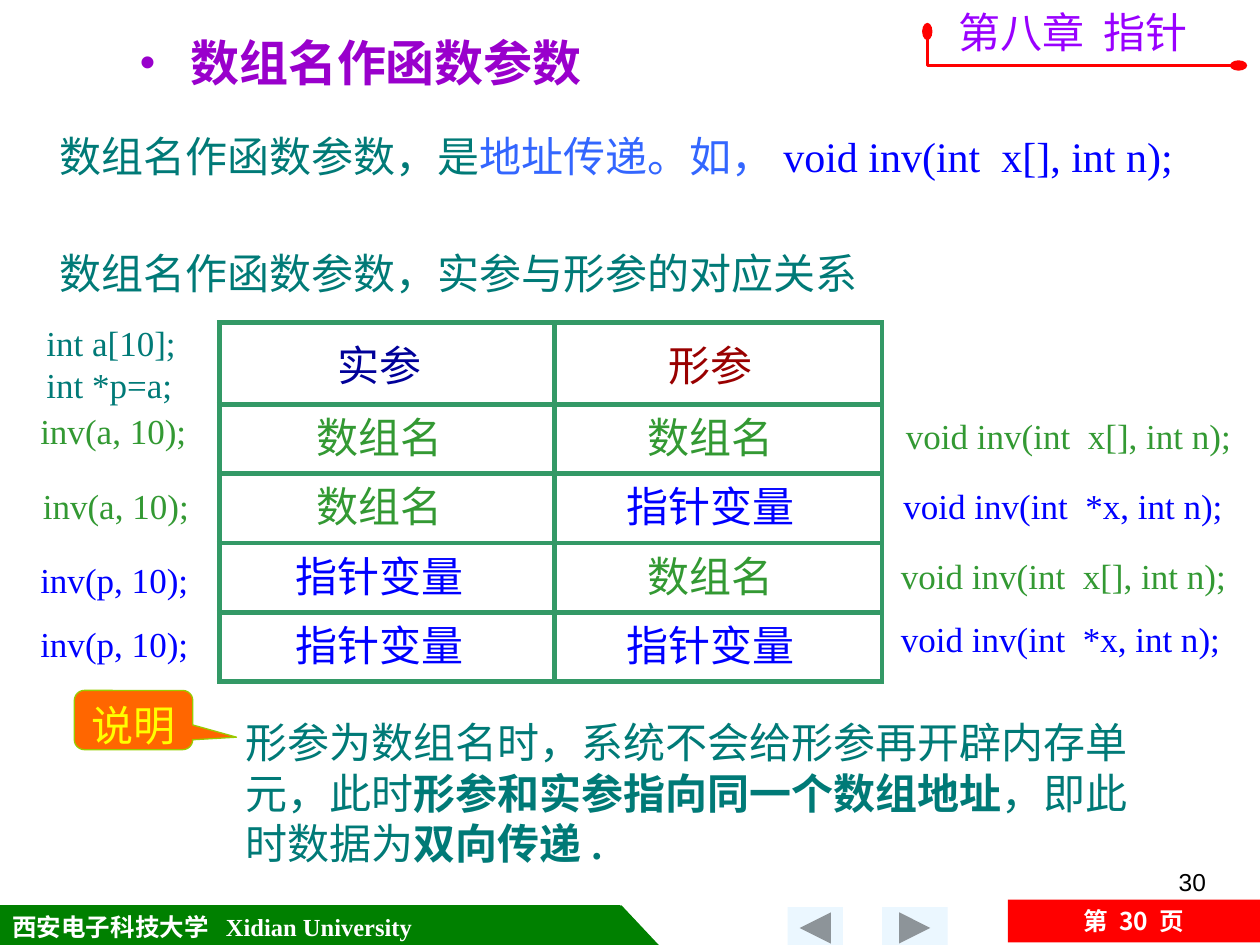
from lxml.etree import SubElement
from pptx import Presentation
from pptx.dml.color import RGBColor
from pptx.enum.shapes import MSO_SHAPE
from pptx.enum.text import MSO_ANCHOR, MSO_AUTO_SIZE, PP_ALIGN
from pptx.oxml.ns import qn
from pptx.util import Inches, Pt

WHITE = RGBColor(0xFF, 0xFF, 0xFF)
BLACK = RGBColor(0, 0, 0)
TEAL = RGBColor(0x00, 0x7A, 0x77)
BLUE = RGBColor(0x00, 0x00, 0xFF)
LIGHT_BLUE = RGBColor(0x33, 0x66, 0xFF)
NAVY = RGBColor(0x00, 0x00, 0x99)
MAROON = RGBColor(0x99, 0x00, 0x00)
GREEN = RGBColor(0x33, 0x99, 0x33)
GRID_GREEN = RGBColor(0x33, 0x99, 0x66)
BAR_GREEN = RGBColor(0x00, 0x80, 0x00)
LIME = RGBColor(0x99, 0xCC, 0x00)
PURPLE = RGBColor(0x99, 0x00, 0xCC)
VIOLET = RGBColor(0x99, 0x00, 0xFF)
RED = RGBColor(0xFF, 0x00, 0x00)
ORANGE = RGBColor(0xFF, 0x66, 0x00)
YELLOW = RGBColor(0xFF, 0xFF, 0x00)
PALE_BLUE = RGBColor(0xEB, 0xF7, 0xFF)

SERIF = "Times New Roman"
SANS = "Arial"
CHINESE = "Noto Sans CJK SC"

ARRAY = ("数组名", GREEN)
POINTER = ("指针变量", BLUE)
TABLE_ROWS = [
    (("实参", NAVY), ("形参", MAROON)),
    (ARRAY, ARRAY),
    (ARRAY, POINTER),
    (POINTER, ARRAY),
    (POINTER, POINTER),
]
ARRAY_HEADER = "void inv(int  x[], int n);"
POINTER_HEADER = "void inv(int  *x, int n);"
CODE_LABELS = [
    (0.12, 3.20, 1.46, "inv(a, 10);", GREEN),
    (0.14, 3.80, 1.46, "inv(a, 10);", GREEN),
    (0.12, 4.38, 1.47, "inv(p, 10);", BLUE),
    (0.12, 4.89, 1.47, "inv(p, 10);", BLUE),
    (6.99, 3.24, 2.88, ARRAY_HEADER, GREEN),
    (6.97, 3.80, 2.83, POINTER_HEADER, BLUE),
    (6.95, 4.35, 2.88, ARRAY_HEADER, GREEN),
    (6.95, 4.85, 2.83, POINTER_HEADER, BLUE),
]


def add_run(paragraph, text, size, color, font=SERIF, bold=False):
    run = paragraph.add_run()
    run.text = text
    run.font.size = Pt(size)
    run.font.bold = bold
    run.font.name = font
    run.font.color.rgb = color
    east_asian = SubElement(run.font._element, qn("a:ea"))
    east_asian.set("typeface", CHINESE)


def add_text_box(slide, left, top, width, height, wrap=True, indent=0):
    """Return the text frame of a new box; indent widens its left margin."""
    box = slide.shapes.add_textbox(
        Inches(left), Inches(top), Inches(width), Inches(height))
    frame = box.text_frame
    frame.word_wrap = wrap
    frame.margin_left = Inches(0.1 + indent)
    return frame


def add_filled_shape(slide, kind, left, top, width, height, fill, outline=None):
    shape = slide.shapes.add_shape(
        kind, Inches(left), Inches(top), Inches(width), Inches(height))
    shape.shadow.inherit = False
    shape.fill.solid()
    shape.fill.fore_color.rgb = fill
    if outline is None:
        shape.line.fill.background()
    else:
        shape.line.color.rgb = outline
        shape.line.width = Pt(0.75)
    return shape


def label_shape(shape, text, size, color, font=SERIF, bold=False,
                alignment=PP_ALIGN.CENTER, anchor=MSO_ANCHOR.MIDDLE):
    shape.text_frame.vertical_anchor = anchor
    paragraph = shape.text_frame.paragraphs[0]
    paragraph.alignment = alignment
    add_run(paragraph, text, size, color, font, bold)


def add_title(slide):
    title = slide.shapes.title
    title.left, title.top = Inches(0.51), Inches(0.21)
    title.width, title.height = Inches(4.65), Inches(0.63)
    title.text_frame.vertical_anchor = MSO_ANCHOR.TOP
    title.text_frame.auto_size = MSO_AUTO_SIZE.NONE
    paragraph = title.text_frame.paragraphs[0]
    paragraph.alignment = PP_ALIGN.LEFT
    properties = paragraph._p.get_or_add_pPr()
    properties.set("marL", str(Inches(0.9)))
    properties.set("indent", str(Inches(-0.4)))
    bullet_color = SubElement(properties, qn("a:buClr"))
    SubElement(bullet_color, qn("a:srgbClr")).set("val", str(PURPLE))
    SubElement(properties, qn("a:buSzPct")).set("val", "90000")
    SubElement(properties, qn("a:buFont")).set("typeface", SANS)
    SubElement(properties, qn("a:buChar")).set("char", "•")
    add_run(paragraph, "数组名作函数参数", 28, PURPLE, SANS, bold=True)


def add_cell_borders(cell):
    properties = cell._tc.get_or_add_tcPr()
    for position, side in enumerate(("lnL", "lnR", "lnT", "lnB")):
        border = properties.makeelement(qn(f"a:{side}"), {"w": str(Pt(3))})
        fill = SubElement(border, qn("a:solidFill"))
        SubElement(fill, qn("a:srgbClr")).set("val", str(GRID_GREEN))
        properties.insert(position, border)


def add_argument_table(slide):
    table = slide.shapes.add_table(
        len(TABLE_ROWS), 2, Inches(1.74), Inches(2.56),
        Inches(5.26), Inches(2.85)).table
    table.first_row = False
    table.horz_banding = False
    table.columns[0].width, table.columns[1].width = Inches(2.66), Inches(2.6)
    for row_index, entries in enumerate(TABLE_ROWS):
        is_header = row_index == 0
        table.rows[row_index].height = Inches(0.65 if is_header else 0.55)
        for column_index, (text, color) in enumerate(entries):
            cell = table.cell(row_index, column_index)
            cell.fill.solid()
            cell.fill.fore_color.rgb = WHITE
            cell.margin_top = 0
            cell.margin_right = Inches(0.22)
            cell.margin_bottom = Inches(0 if is_header else 0.06)
            cell.vertical_anchor = MSO_ANCHOR.MIDDLE
            add_cell_borders(cell)
            paragraph = cell.text_frame.paragraphs[0]
            paragraph.alignment = PP_ALIGN.CENTER
            add_run(paragraph, text, 24, color)


def add_chapter_mark(slide):
    frame = add_text_box(slide, 7.51, 0, 2.2, 0.5)
    add_run(frame.paragraphs[0], "第八章  指针", 24, VIOLET, CHINESE)
    builder = slide.shapes.build_freeform(Inches(7.36), Inches(0.25))
    builder.add_line_segments(
        [(Inches(7.36), Inches(0.52)), (Inches(9.83), Inches(0.52))], close=False)
    elbow = builder.convert_to_shape()
    elbow.shadow.inherit = False
    elbow.fill.background()
    elbow.line.color.rgb = RED
    elbow.line.width = Pt(1.5)
    for end in ("a:headEnd", "a:tailEnd"):
        oval = SubElement(elbow.line._get_or_add_ln(), qn(end))
        oval.set("type", "oval")
        oval.set("len", "lg")


def add_footer(slide):
    bar = add_filled_shape(slide, MSO_SHAPE.RECTANGLE, 0, 7.19, 4.92, 0.33,
                           BAR_GREEN, BAR_GREEN)
    label_shape(bar, "西安电子科技大学  Xidian University", 14, WHITE, bold=True,
                alignment=PP_ALIGN.LEFT)
    add_filled_shape(slide, MSO_SHAPE.RIGHT_TRIANGLE, 4.93, 7.19, 0.31, 0.33,
                     BAR_GREEN, BAR_GREEN)
    for left, width, rotation in ((7, 0.52, 0), (6.25, 0.44, 180)):
        button = add_filled_shape(slide, MSO_SHAPE.ACTION_BUTTON_FORWARD_OR_NEXT,
                                  left, 7.2, width, 0.33, PALE_BLUE)
        button.rotation = rotation
    page = add_filled_shape(slide, MSO_SHAPE.RECTANGLE, 8, 7.14, 2, 0.34, RED)
    label_shape(page, "第 30 页", 14, WHITE, CHINESE, bold=True)
    number = add_text_box(slide, 7.17, 6.83, 2.5, 0.52).paragraphs[0]
    number.alignment = PP_ALIGN.RIGHT
    add_run(number, "30", 14, BLACK, SANS)


def add_introduction(slide):
    frame = add_text_box(slide, 0.27, 0.99, 9.56, 0.55, indent=0.1)
    passing = frame.paragraphs[0]
    add_run(passing, "数组名作函数参数，是", 24, TEAL)
    add_run(passing, "地址传递。如，", 24, LIGHT_BLUE)
    add_run(passing, ARRAY_HEADER, 24, BLUE)
    matching = frame.add_paragraph()
    matching.space_before = Pt(38)
    add_run(matching, "数组名作函数参数，实参与形参的对应关系", 24, TEAL)


def add_code_labels(slide):
    frame = add_text_box(slide, 0.27, 2.5, 1.54, 0.77)
    add_run(frame.paragraphs[0], "int a[10];", 20, TEAL)
    add_run(frame.add_paragraph(), "int *p=a;", 20, TEAL)
    for left, top, width, code, color in CODE_LABELS:
        label = add_text_box(slide, left, top, width, 0.44, indent=0.1)
        label.margin_right = 0
        add_run(label.paragraphs[0], code, 20, color)


def add_explanation(slide):
    callout = add_filled_shape(slide, MSO_SHAPE.ROUNDED_RECTANGULAR_CALLOUT,
                               0.59, 5.48, 0.94, 0.47, ORANGE, LIME)
    for index, value in enumerate((0.87, 0.29, 0.17)):
        callout.adjustments[index] = value
    label_shape(callout, "说明", 24, YELLOW, anchor=MSO_ANCHOR.TOP)
    paragraph = add_text_box(slide, 1.85, 5.64, 7.48, 1.3).paragraphs[0]
    for text, bold in (
            ("形参为数组名时，系统不会给形参再开辟内存单元，此时", False),
            ("形参和实参指向同一个数组地址", True),
            ("，即此时数据为", False),
            ("双向传递.", True)):
        add_run(paragraph, text, 24, TEAL, bold=bold)


def main():
    presentation = Presentation()
    presentation.slide_width, presentation.slide_height = Inches(10), Inches(7.5)
    slide = presentation.slides.add_slide(presentation.slide_layouts[5])
    add_footer(slide)
    add_introduction(slide)
    add_argument_table(slide)
    add_title(slide)
    add_explanation(slide)
    add_chapter_mark(slide)
    add_code_labels(slide)
    presentation.save("out.pptx")


if __name__ == "__main__":
    main()
